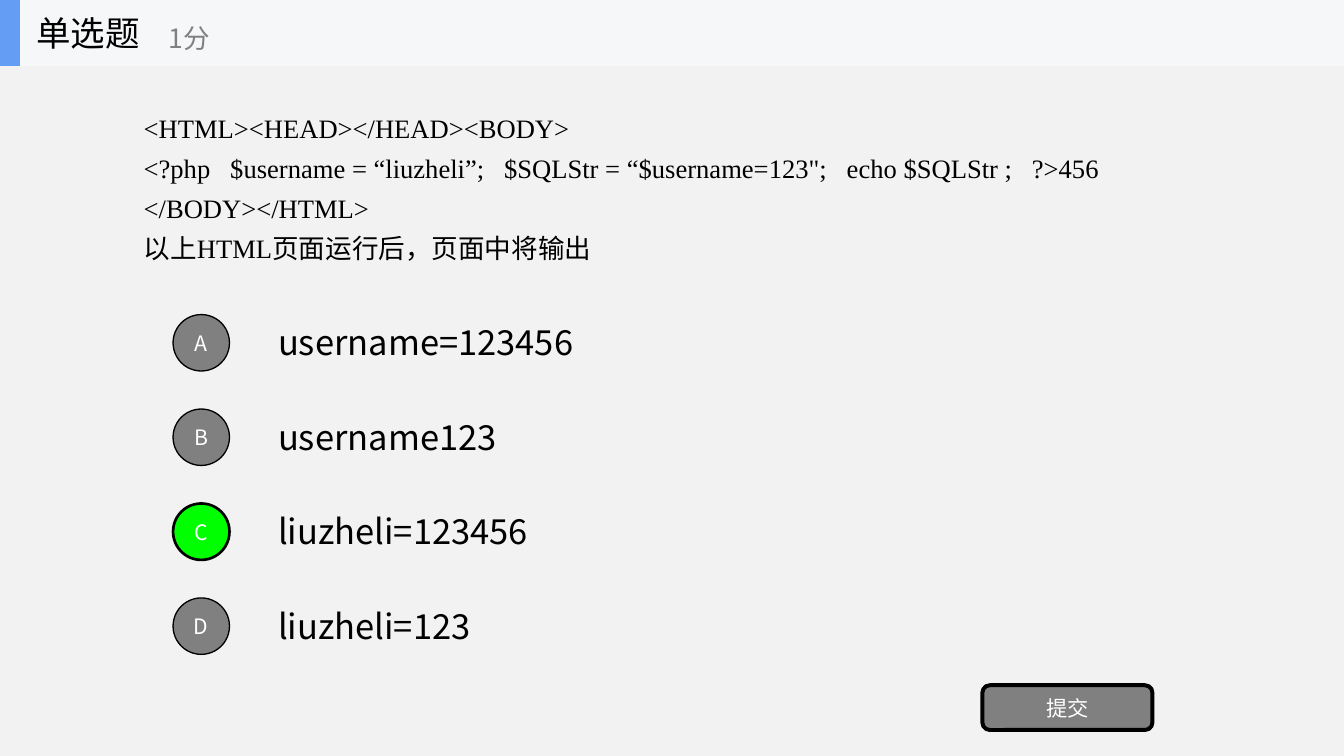
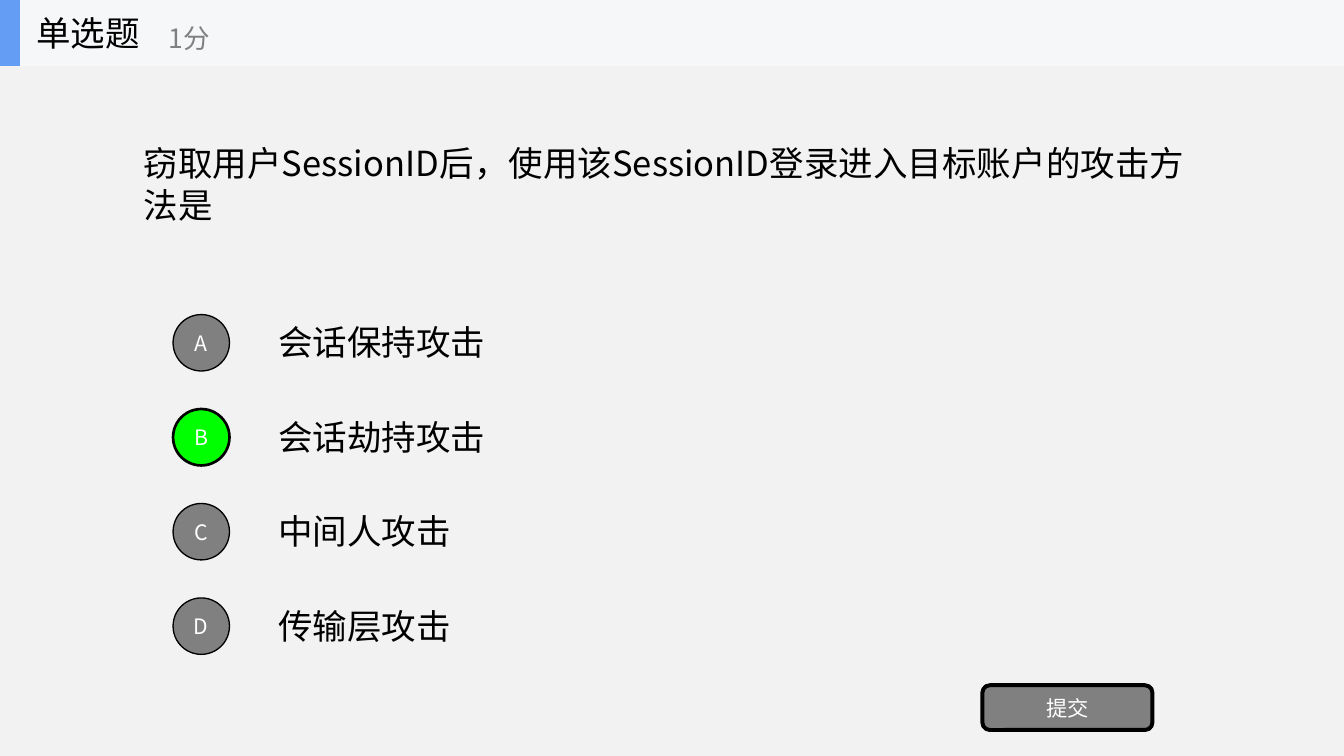
"""Build two single-choice quiz slides that share one header and layout."""
from pptx import Presentation
from pptx.dml.color import RGBColor
from pptx.enum.shapes import MSO_SHAPE
from pptx.enum.text import MSO_ANCHOR, MSO_AUTO_SIZE, PP_ALIGN
from pptx.oxml.ns import qn
from pptx.util import Cm, Pt
from lxml import etree

RECT, OVAL, ROUND = MSO_SHAPE.RECTANGLE, MSO_SHAPE.OVAL, MSO_SHAPE.ROUNDED_RECTANGLE
MIDDLE, NO_FIT = MSO_ANCHOR.MIDDLE, MSO_AUTO_SIZE.NONE
LEFT, CENTER = PP_ALIGN.LEFT, PP_ALIGN.CENTER

SANS, SERIF = "Noto Sans CJK SC", "Times New Roman"
BLACK, WHITE, GRAY, GREEN = "000000", "FFFFFF", "808080", "00FF00"
PAGE, BAND, ACCENT = "F2F2F2", "F6F7F8", "639EF4"
WIDTH, HEIGHT, BAND_H = 35.72, 20.09, 1.75
OPTION_STEP = 2.51

QUESTIONS = [
    {
        "lines": [
            "<HTML><HEAD></HEAD><BODY>",
            "<?php   $username = “liuzheli”;   $SQLStr = “$username=123\";   echo $SQLStr ;   ?>456",
            "</BODY></HTML>",
            "以上HTML页面运行后，页面中将输出",
        ],
        "style": {"size": 20, "font": SERIF, "spacing": 1.25},
        "options": ["username=123456", "username123", "liuzheli=123456", "liuzheli=123"],
        "answer": "C",
    },
    {
        "lines": ["窃取用户SessionID后，使用该SessionID登录进入目标账户的攻击方法是"],
        "style": {},
        "options": ["会话保持攻击", "会话劫持攻击", "中间人攻击", "传输层攻击"],
        "answer": "B",
    },
]


def write(sp, lines, size=26, color=BLACK, font=SANS, align=LEFT, spacing=None):
    tf = sp.text_frame
    tf.word_wrap, tf.auto_size, tf.vertical_anchor = True, NO_FIT, MIDDLE
    tf.text = "\n".join(lines)
    for p in tf.paragraphs:
        p.alignment, p.line_spacing = align, spacing
        p.font.size, p.font.name = Pt(size), font
        p.font.color.rgb = RGBColor.from_string(color)
        props = p._p.pPr.find(qn("a:defRPr"))
        etree.SubElement(props, qn("a:ea")).set("typeface", SANS)


def add_shape(s, kind, x, y, w, h, fill, line=0):
    sp = s.shapes.add_shape(kind, Cm(x), Cm(y), Cm(w), Cm(h))
    sp.shadow.inherit = False
    sp.fill.solid()
    sp.fill.fore_color.rgb = RGBColor.from_string(fill)
    if line:
        sp.line.color.rgb = RGBColor.from_string(BLACK)
        sp.line.width = Pt(line)
    else:
        sp.line.fill.background()
    return sp


prs = Presentation()
prs.slide_width, prs.slide_height = Cm(WIDTH), Cm(HEIGHT)
layout = prs.slide_layouts.get_by_name("Title Only")
layout.background.fill.solid()
layout.background.fill.fore_color.rgb = RGBColor.from_string(PAGE)
for ph in list(layout.placeholders)[1:]:
    ph.element.getparent().remove(ph.element)
title = layout.placeholders[0]
title.left, title.top, title.width, title.height = Cm(0.71), Cm(0), Cm(5.28), Cm(BAND_H)

slides = [prs.slides.add_slide(layout) for _ in QUESTIONS]
band = add_shape(slides[0], RECT, 0, 0, WIDTH, BAND_H, BAND)
accent = add_shape(slides[0], RECT, 0, 0, 0.53, BAND_H, ACCENT)
for sp in (accent, band):
    layout.shapes.element.insert(2, sp.element)

for s, question in zip(slides, QUESTIONS):
    write(s.shapes.title, ["单选题"])
    score = s.shapes.add_textbox(Cm(4.24), Cm(0.3), Cm(6.35), Cm(1.42))
    write(score, ["1分"], size=20, color=GRAY)
    prompt = s.shapes.add_textbox(Cm(3.57), Cm(BAND_H), Cm(28.58), Cm(6.27))
    write(prompt, question["lines"], **question["style"])

    for i, (letter, option) in enumerate(zip("ABCD", question["options"])):
        dy = i * OPTION_STEP
        correct = letter == question["answer"]
        fill, line = (GREEN, 2) if correct else (GRAY, 1)
        badge = add_shape(s, OVAL, 4.6, 8.36 + dy, 1.5, 1.5, fill, line)
        write(badge, [letter], size=16, color=WHITE, align=CENTER)
        label = s.shapes.add_textbox(Cm(7.14), Cm(8.15 + dy), Cm(25), Cm(1.88))
        write(label, [option])

    button = add_shape(s, ROUND, 26.11, 18.21, 4.52, 1.19, GRAY, 3)
    write(button, ["提交"], size=16, color=WHITE, align=CENTER)

prs.save("out.pptx")
